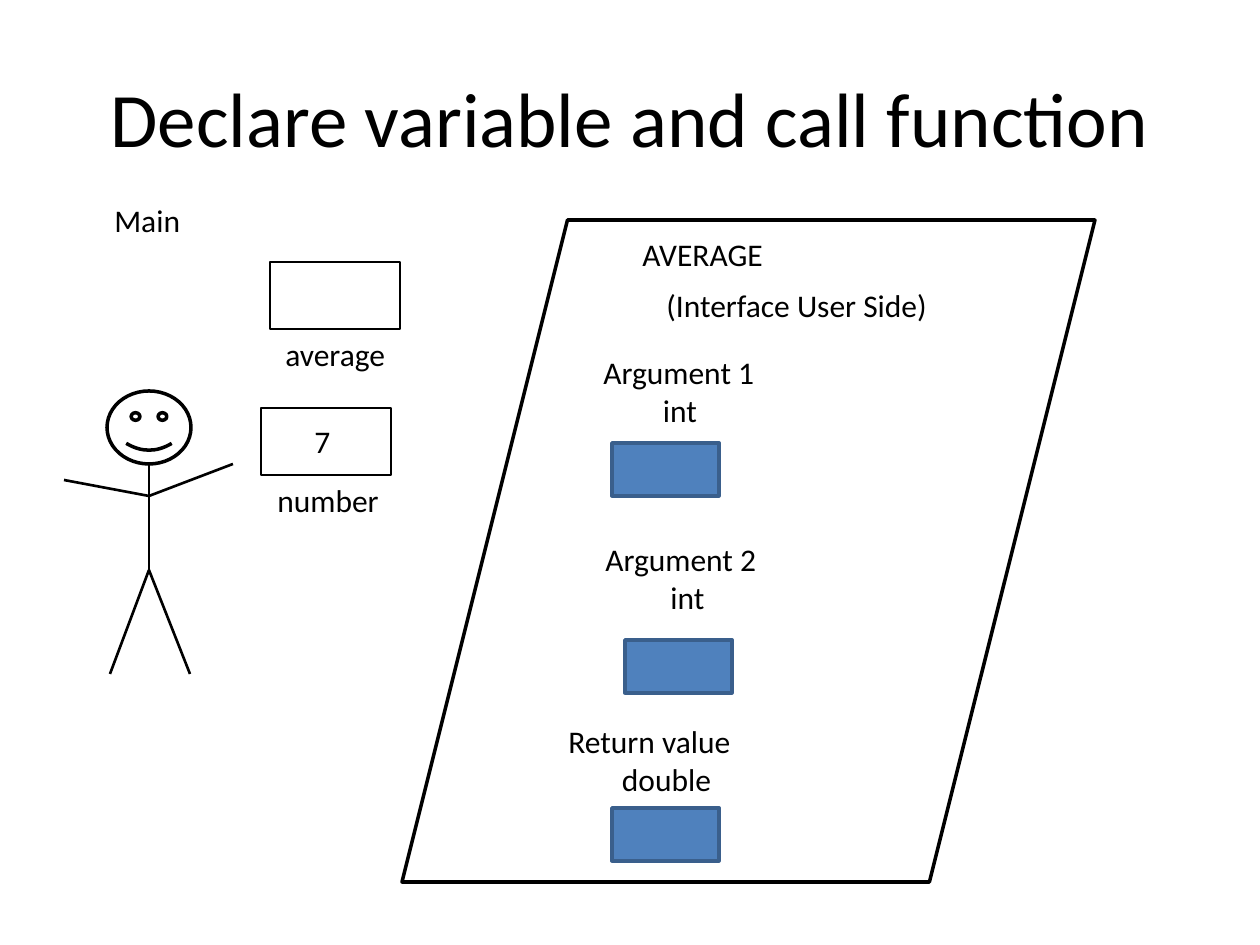
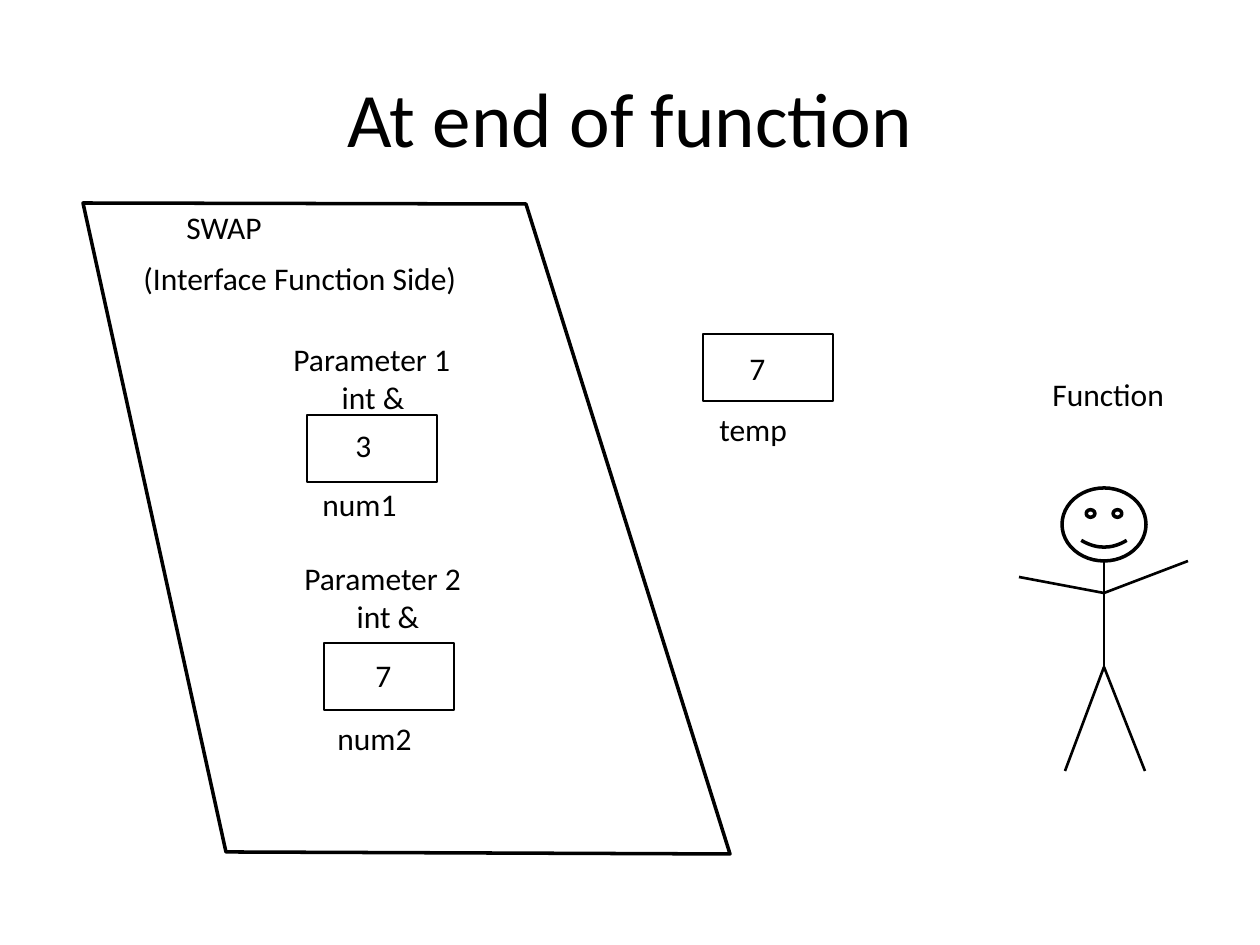
import pptx
import pptx.util
import pptx.dml.color
import pptx.enum.shapes
import pptx.enum.text
import pptx.oxml.ns
import lxml.etree

# Shared look
EMU_PER_PX = 914400 / 126
SLIDE_SIZE = (1260, 945)
FONT = "Calibri"
COLOURS = {"ink": "000000", "value": "4F81BD", "value_edge": "3A5F8C"}
TITLE_AREA = (63, 38, 1134, 158)
TITLE_SIZE, BODY_SIZE = 44, 18
LINE_HEIGHT, TEXT_PADDING = 38, 12
VARIABLE_SIZE = (130, 67)
ARGUMENT_SIZE = (107, 53)

# Stick figure, measured from the middle of the top of the head
HEAD_SIZE = (84, 73)
NECK, SHOULDER, HIP = (0, 73), (0, 105), (0, 179)
LIMBS = [
    (NECK, HIP),
    (HIP, (-39, 283)),
    (HIP, (41, 283)),
    (SHOULDER, (84, 73)),
    ((-85, 89), SHOULDER),
]

# Labels are (left, top, width, lines)
SLIDES = [
    {
        "title": "Declare variable and call function",
        "figure": (149, 391),
        "parallelogram": (402, 220, 693, 662),
        "variables": [(261, 408), (270, 262)],
        "arguments": [(612, 443), (625, 640), (612, 808)],
        "labels": [
            (102, 195, 116, ["Main"]),
            (302, 416, 45, ["7"]),
            (265, 475, 127, ["number"]),
            (273, 329, 127, ["average"]),
            (630, 229, 252, ["AVERAGE"]),
            (654, 280, 292, ["(Interface User Side)"]),
            (591, 347, 178, ["Argument 1", "int"]),
            (593, 534, 189, ["Argument 2", "int"]),
            (556, 716, 221, ["Return value", "double"]),
        ],
    },
    {
        "title": "At end of function",
        "figure": (1104, 488),
        "outline": [(730, 854), (226, 852), (83, 203), (526, 204)],
        "variables": [(324, 643), (307, 415), (703, 334)],
        "labels": [
            (1040, 369, 170, ["Function"]),
            (174, 202, 256, ["SWAP"]),
            (131, 253, 388, ["(Interface Function Side)"]),
            (281, 334, 184, ["Parameter 1", "int &"]),
            (343, 420, 45, ["3"]),
            (310, 479, 127, ["num1"]),
            (292, 553, 192, ["Parameter 2", "int &"]),
            (363, 650, 45, ["7"]),
            (325, 713, 127, ["num2"]),
            (737, 343, 45, ["7"]),
            (707, 404, 127, ["temp"]),
        ],
    },
]

SHAPES = pptx.enum.shapes.MSO_SHAPE
ALIGN = pptx.enum.text.PP_ALIGN


def emu(*lengths):
    return [round(length * EMU_PER_PX) for length in lengths]


def colour(name):
    return pptx.dml.color.RGBColor.from_string(COLOURS[name])


def style(shape, weight, edge="ink", fill=None):
    shape.shadow.inherit = False
    if fill:
        shape.fill.solid()
        shape.fill.fore_color.rgb = colour(fill)
    else:
        shape.fill.background()
    shape.line.color.rgb = colour(edge)
    shape.line.width = pptx.util.Pt(weight)


def add_preset(page, kind, area, weight, **look):
    style(page.shapes.add_shape(kind, *emu(*area)), weight, **look)


def add_outline(page, points):
    builder = page.shapes.build_freeform(*points[0], scale=EMU_PER_PX)
    builder.add_line_segments(points[1:], close=True)
    style(builder.convert_to_shape(), 2)


def add_line(page, start, end):
    line = page.shapes.add_connector(
        pptx.enum.shapes.MSO_CONNECTOR.STRAIGHT, *emu(*start, *end))
    line.line.color.rgb = colour("ink")
    line.line.width = pptx.util.Pt(1.5)
    properties = line._element.spPr
    lxml.etree.SubElement(properties, pptx.oxml.ns.qn("a:effectLst"))


def add_text(page, area, lines, size, alignments):
    box = page.shapes.add_textbox(*emu(*area))
    frame = box.text_frame
    frame.word_wrap = True
    for number, (line, alignment) in enumerate(zip(lines, alignments)):
        para = frame.add_paragraph() if number else frame.paragraphs[0]
        para.alignment = alignment
        span = para.add_run()
        span.text = line
        span.font.name = FONT
        span.font.size = pptx.util.Pt(size)
        span.font.color.rgb = colour("ink")
    return frame


def add_figure(page, centre, top):
    width, height = HEAD_SIZE
    add_preset(page, SHAPES.SMILEY_FACE,
               (centre - width // 2, top, width, height), 2)
    for limb in LIMBS:
        add_line(page, *[(centre + x, top + y) for x, y in limb])


def build_page(deck, content):
    page = deck.slides.add_slide(deck.slide_layouts[6])
    title = add_text(page, TITLE_AREA, [content["title"]], TITLE_SIZE,
                     [ALIGN.CENTER])
    title.vertical_anchor = pptx.enum.text.MSO_ANCHOR.MIDDLE
    add_figure(page, *content["figure"])

    # Interface panel
    if "parallelogram" in content:
        add_preset(page, SHAPES.PARALLELOGRAM, content["parallelogram"], 2)
    if "outline" in content:
        add_outline(page, content["outline"])

    # Variables and argument slots
    for corner in content["variables"]:
        add_preset(page, SHAPES.RECTANGLE, corner + VARIABLE_SIZE, 1.5)
    for corner in content.get("arguments", []):
        add_preset(page, SHAPES.RECTANGLE, corner + ARGUMENT_SIZE, 2,
                   edge="value_edge", fill="value")

    # Names, types and values: the type line is centred under its name
    for left, top, width, lines in content["labels"]:
        height = LINE_HEIGHT * len(lines) + TEXT_PADDING
        add_text(page, (left, top, width, height), lines, BODY_SIZE,
                 [ALIGN.LEFT, ALIGN.CENTER])


def main():
    deck = pptx.Presentation()
    deck.slide_width, deck.slide_height = emu(*SLIDE_SIZE)
    for content in SLIDES:
        build_page(deck, content)
    deck.save("out.pptx")


if __name__ == "__main__":
    main()
